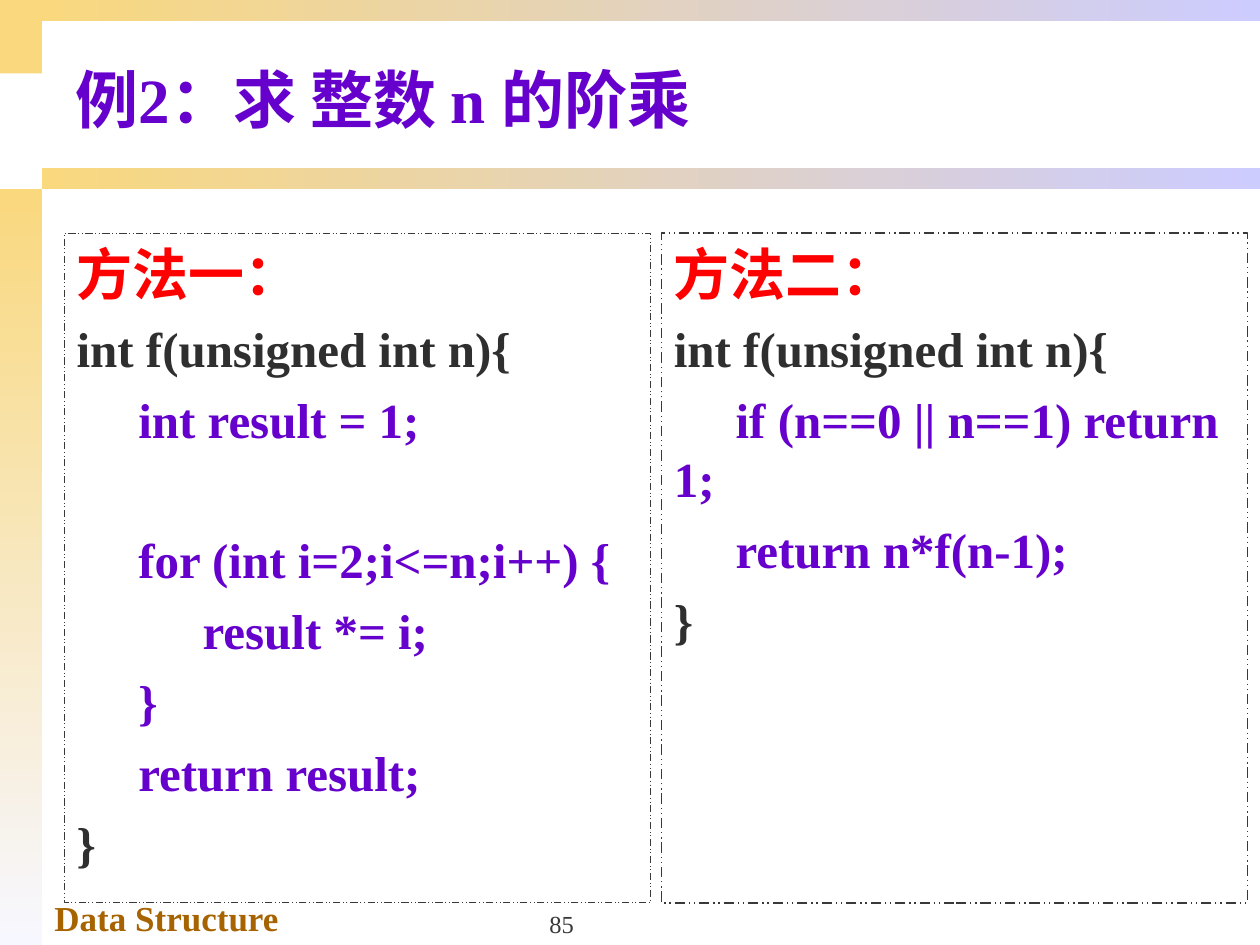
from pptx import Presentation
from pptx.dml.color import RGBColor
from pptx.enum.dml import MSO_LINE
from pptx.enum.shapes import MSO_SHAPE
from pptx.enum.text import MSO_ANCHOR, PP_ALIGN
from pptx.util import Inches, Pt

RECT = MSO_SHAPE.RECTANGLE
DASH = MSO_LINE.DASH_DOT_DOT
TOP, MID, LOW = MSO_ANCHOR.TOP, MSO_ANCHOR.MIDDLE, MSO_ANCHOR.BOTTOM
LEFT, CENTER = PP_ALIGN.LEFT, PP_ALIGN.CENTER

THEME = {
    "font": "Times New Roman",
    "gold": "F9D87E", "pale": "F7F7FF", "lilac": "CCCCFF",
    "brown": "A66300", "red": "FF0000", "violet": "6600CC",
    "ink": "2F2F2F", "gray": "393939",
    "title": 36, "head": 32, "code": 28, "foot": 20, "page": 14,
}

deck = Presentation()
deck.slide_width, deck.slide_height = Inches(10), Inches(7.5)
slide = deck.slides.add_slide(deck.slide_layouts[5])
shapes = slide.shapes
UNIT = deck.slide_width / 60  # the grid has 60 columns and 45 rows


def grid(*cells):
    return [round(cell * UNIT) for cell in cells]


def write(shape, text, size, color, bold=True, align=LEFT, anchor=TOP,
          indent=0, gap=0, new=False):
    """Put text in the first paragraph, or in a new one at the end."""
    frame = shape.text_frame
    frame.word_wrap = True
    frame.vertical_anchor = anchor
    para = frame.add_paragraph() if new else frame.paragraphs[0]
    para.alignment = align
    para.space_before = Pt(gap)
    if indent:
        props = para._p.get_or_add_pPr()
        props.set("marL", "0")
        props.set("indent", str(Inches(indent)))
    run = para.add_run()
    run.text = text
    font = run.font
    font.name, font.size, font.bold = THEME["font"], Pt(THEME[size]), bold
    font.color.rgb = RGBColor.from_string(THEME[color])


# Gold frame: cells, end colour of the fade, angle
BARS = [
    ((0, 0, 2, 3.5), "gold", 0),
    ((0, 9, 2, 36), "pale", 270),
    ((2, 8, 58, 1), "lilac", 0),
    ((2, 0, 58, 1), "lilac", 0),
]
for cells, end, angle in BARS:
    bar = shapes.add_shape(RECT, *grid(*cells))
    bar.shadow.inherit = False
    bar.line.fill.background()
    if end == "gold":
        bar.fill.solid()
        bar.fill.fore_color.rgb = RGBColor.from_string(THEME[end])
        continue
    bar.fill.gradient()
    bar.fill.gradient_angle = angle
    for stop, name in zip(bar.fill.gradient_stops, ("gold", end)):
        stop.color.rgb = RGBColor.from_string(THEME[name])

title = shapes.title
title.left, title.top, title.width, title.height = grid(3, 1.5, 57, 6.4)
write(title, "例2：求 整数 n 的阶乘", "title", "violet", anchor=MID)

foot = shapes.add_textbox(*grid(2, 42.4, 21, 2.6))
write(foot, "Data Structure", "foot", "brown")
page = shapes.add_textbox(*grid(20.5, 42, 12.5, 3))
write(page, "85", "page", "gray", bold=False, align=CENTER, anchor=LOW)

# Code panels: column, line width, heading, code lines as (depth, text, gap)
STEP = (0, 0.49, 1)  # indent in inches by depth
GAP, SKIP = 7, 46    # points before a line, and before a line set apart
PANELS = [
    (3.06, 0.5, "方法一：", [
        (0, "int f(unsigned int n){", GAP),
        (1, "int result = 1;", GAP),
        (1, "for (int i=2;i<=n;i++) {", SKIP),
        (2, "result *= i;", GAP),
        (1, "}", GAP),
        (1, "return result;", GAP),
        (0, "}", GAP),
    ]),
    (31.5, 0.75, "方法二：", [
        (0, "int f(unsigned int n){", GAP),
        (1, "if (n==0 || n==1) return 1;", GAP),
        (1, "return n*f(n-1);", GAP),
        (0, "}", GAP),
    ]),
]
for col, weight, head, code in PANELS:
    panel = shapes.add_shape(RECT, *grid(col, 11.1, 27.9, 31.9))
    panel.shadow.inherit = False
    panel.fill.background()
    panel.line.color.rgb = RGBColor.from_string(THEME["gray"])
    panel.line.width = Pt(weight)
    panel.line.dash_style = DASH
    write(panel, head, "head", "red")
    for depth, text, gap in code:
        write(panel, text, "code", "violet" if depth else "ink",
              indent=STEP[depth], gap=gap, new=True)

deck.save("out.pptx")
